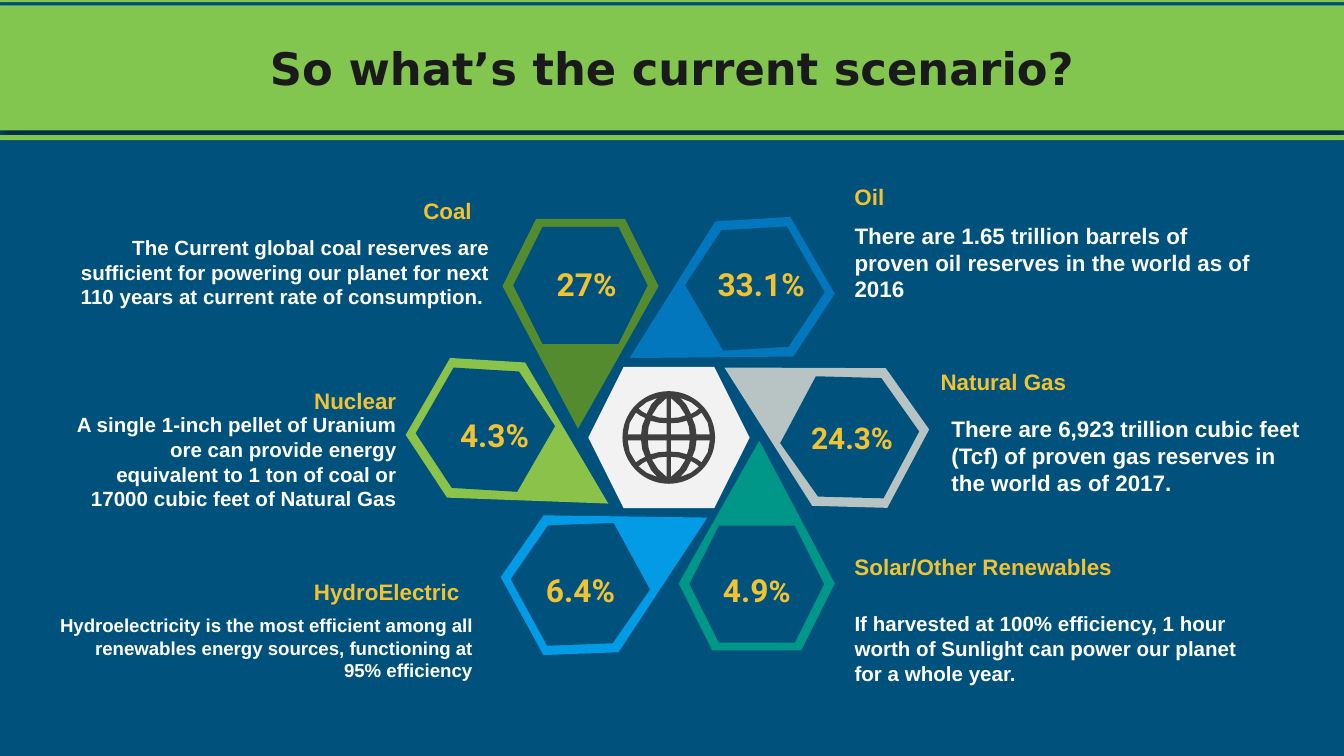
"""Build the energy scenario slide: six petals around a globe, with notes."""
from dataclasses import dataclass
from math import cos, pi, radians, sin

from lxml import etree
from pptx import Presentation
from pptx import util as u
from pptx.dml.color import RGBColor
from pptx.enum import shapes, text
from pptx.oxml.ns import qn

Point = tuple[float, float]
Box = tuple[float, float, float, float]
LEFT, CENTER, RIGHT = text.PP_ALIGN.LEFT, text.PP_ALIGN.CENTER, text.PP_ALIGN.RIGHT
SHAPE = shapes.MSO_SHAPE


@dataclass(frozen=True)
class Theme:
    back: str = "00517C"
    band: str = "82C650"
    ink: str = "1A1A1A"
    accent: str = "F1C232"
    white: str = "FFFFFF"
    off_white: str = "FAFAFA"
    hub: str = "F2F2F2"
    globe: str = "3F3F3F"
    title_font: str = "DejaVu Sans"
    share_font: str = "Roboto"
    body_font: str = "Arial"
    title_size: int = 24
    share_size: int = 17
    small_share: int = 16
    head_size: int = 12
    note_size: int = 11
    small_note: int = 10


T = Theme()


@dataclass(frozen=True)
class Label:
    box: Box
    runs: tuple[str, ...]
    size: int
    color: str = T.accent
    font: str = T.body_font
    last_size: int | None = None


@dataclass(frozen=True)
class Energy:
    center: Point
    angle: float
    color: str
    align: text.PP_ALIGN
    share: Label
    head: Label
    note: Label


def share(box: Box, *runs: str, size: int = T.share_size, last: int | None = None) -> Label:
    return Label(box, runs, size, font=T.share_font, last_size=last)


def head(x: float, y: float, name: str) -> Label:
    return Label((x, y, 236, 29), (name,), T.head_size)


def note(box: Box, words: str, size: int = T.note_size, color: str = T.white) -> Label:
    return Label(box, (words,), size, color)


ENERGIES = (
    Energy((311, 173.5), 180, "558B2F", RIGHT,
           share((275.8, 134.6, 77, 35.3), "27%"), head(23.8, 98.6, "Coal"),
           note((33.1, 118.8, 236.2, 54.7), "The Current global coal reserves are sufficient for "
                "powering our planet for next 110 years at current rate of consumption. ")),
    Energy((386.6, 164.9), 240, "0277BD", LEFT,
           share((365, 134.6, 85.7, 35.3), "33.1%"), head(450.7, 90.7, "Oil"),
           note((450.7, 111.6, 236.2, 58.3), "There are 1.65 trillion barrels of proven oil "
                "reserves in the world as of 2016", T.head_size, T.off_white)),
    Energy((437, 224.6), 298.1, "B8C4C4", LEFT,
           share((338.4, 217.4, 236.2, 33.8), "24.3%", size=T.small_share),
           head(496.8, 190.1, "Natural Gas"),
           note((502.6, 215.3, 200.9, 72.7), "There are 6,923 trillion cubic feet (Tcf) of "
                "proven gas reserves in the world as of 2017.", T.head_size)),
    Energy((405.4, 292.3), 0, "009688", LEFT,
           share((362.2, 298.8, 86.4, 35.3), "4.9", "%", last=T.small_share),
           head(450.7, 289.4, "Solar/Other Renewables"),
           note((450.7, 320.4, 236.2, 54.7), "If harvested at 100% efficiency, 1 hour worth of "
                "Sunlight can power our planet for a whole year.")),
    Energy((329, 303.1), 61.3, "039BE5", RIGHT,
           share((269.3, 298.8, 83.5, 35.3), "6.4%"), head(17.3, 302.4, "HydroElectric"),
           note((23.8, 321.8, 236.2, 51.1), "Hydroelectricity is the most efficient among all "
                "renewables energy sources, functioning at 95% efficiency", T.small_note)),
    Energy((277.9, 240.5), 120, "8BC34A", RIGHT,
           share((233.3, 215.3, 63.4, 35.3), "4.3%"), head(-16.6, 200.2, "Nuclear"),
           note((28.8, 213.8, 190.8, 67.7), "A single 1-inch pellet of Uranium ore can provide "
                "energy equivalent to 1 ton of coal or 17000 cubic feet of Natural Gas")),
)

PETAL = ((23.8, 56.2), (-23.8, 56.2), (-41.8, 20.2), (1.4, -56.2), (41.8, 20.2))
HEX_OFFSET = 20.6
HEX_SIZE = (72, 62.8)
GLOBE_CENTER = (358.3, 234.4)
GLOBE_RADIUS = 24.8
GLOBE_PANES = (
    ((11.9, 12.6), (9.4, 17.6), (6.1, 21.2), (11.9, 18.9), (16.2, 15.5), (14.2, 13.9)),
    ((1.1, 10.4), (1.1, 21.2), (5.8, 16.9), (9, 11.9), (5.4, 10.7)),
    ((1.1, 1.6), (1.1, 7.6), (5.4, 7.9), (9.7, 9), (10.8, 5.6), (11.2, 1.6)),
    ((14.8, 1.6), (14.2, 6.3), (12.6, 10.4), (15.3, 11.7), (17.6, 13.3), (20.9, 7.9), (22, 1.6)),
)


def rgb(color: str) -> RGBColor:
    return RGBColor.from_string(color)


def paint(sp, color: str) -> None:
    sp.fill.solid()
    sp.fill.fore_color.rgb = rgb(color)
    sp.line.fill.background()
    sp.shadow.inherit = False


def add_preset(parent, kind: SHAPE, box: Box, color: str, angle: float = 0):
    sp = parent.add_shape(kind, *map(u.Pt, box))
    sp.rotation = angle
    paint(sp, color)
    return sp


def add_outline(parent, contours: list[list[Point]], color: str):
    first, *rest = [[(u.Pt(x), u.Pt(y)) for x, y in c] for c in contours]
    builder = parent.build_freeform(*first[0], scale=1.0)
    builder.add_line_segments(first[1:], close=True)
    for contour in rest:
        builder.move_to(*contour[0])
        builder.add_line_segments(contour[1:], close=True)
    sp = builder.convert_to_shape()
    paint(sp, color)
    return sp


def shift(points, center: Point, sx: int = 1, sy: int = 1) -> list[Point]:
    return [(center[0] + sx * x, center[1] + sy * y) for x, y in points]


def add_petal(s, energy: Energy) -> None:
    group = s.shapes.add_group_shape().shapes
    add_outline(group, [shift(PETAL, energy.center)], energy.color).rotation = energy.angle
    turn, (w, h) = radians(energy.angle), HEX_SIZE
    x = energy.center[0] - HEX_OFFSET * sin(turn) - w / 2
    y = energy.center[1] + HEX_OFFSET * cos(turn) - h / 2
    add_preset(group, SHAPE.HEXAGON, (x, y, w, h), T.back, (energy.angle + 180) % 360)


def add_globe(s) -> None:
    rim = [(GLOBE_RADIUS * cos(i * pi / 36), GLOBE_RADIUS * sin(i * pi / 36)) for i in range(72)]
    panes = [shift(pane, GLOBE_CENTER, sx, sy)
             for sx in (-1, 1) for sy in (-1, 1) for pane in GLOBE_PANES]
    add_outline(s.shapes, [shift(rim, GLOBE_CENTER), *panes], T.globe)


def write(p, runs: tuple[str, ...], size: int, color: str, font: str, align) -> None:
    p.alignment = align
    for words in runs:
        p.add_run().text = words
    p.font.size, p.font.name, p.font.bold = u.Pt(size), font, True
    p.font.color.rgb = rgb(color)


def add_label(s, label: Label, align: text.PP_ALIGN) -> None:
    tf = s.shapes.add_textbox(*map(u.Pt, label.box)).text_frame
    tf.word_wrap = True
    tf.auto_size = text.MSO_AUTO_SIZE.SHAPE_TO_FIT_TEXT
    tf.margin_left = tf.margin_right = tf.margin_top = tf.margin_bottom = u.Pt(7.2)
    p = tf.paragraphs[0]
    write(p, label.runs, label.size, label.color, label.font, align)
    if label.last_size:
        p.runs[-1].font.size = u.Pt(label.last_size)


def add_title(s) -> None:
    group = s.shapes.add_group_shape().shapes
    sp = add_preset(group, SHAPE.RECTANGLE, (0, 2.9, 720, 67), T.band)
    effects = sp._element.spPr.find(qn("a:effectLst"))
    shadow = etree.SubElement(effects, qn("a:outerShdw"), blurRad=str(u.Pt(4.5)),
                              dist=str(u.Pt(1.5)), dir="5400000", algn="bl", rotWithShape="0")
    black = etree.SubElement(shadow, qn("a:srgbClr"), val="000000")
    etree.SubElement(black, qn("a:alpha"), val="50000")
    tf = sp.text_frame
    tf.word_wrap = True
    tf.vertical_anchor = text.MSO_ANCHOR.MIDDLE
    write(tf.paragraphs[0], ("So what’s the current scenario?",),
          T.title_size, T.ink, T.title_font, CENTER)
    for y in (-1.6, 72.4):
        add_preset(group, SHAPE.RECTANGLE, (0, y, 720, 2.7), T.band)


def main() -> None:
    prs = Presentation()
    prs.slide_width, prs.slide_height = u.Pt(720), u.Pt(405)
    s = prs.slides.add_slide(prs.slide_layouts[6])
    s.background.fill.solid()
    s.background.fill.fore_color.rgb = rgb(T.back)
    for energy in ENERGIES:
        add_petal(s, energy)
    add_preset(s.shapes, SHAPE.HEXAGON, (315.2, 196.6, 86.4, 75.6), T.hub)
    add_globe(s)
    add_title(s)
    for energy in ENERGIES:
        add_label(s, energy.share, CENTER)
        add_label(s, energy.head, energy.align)
        add_label(s, energy.note, energy.align)
    prs.save("out.pptx")


if __name__ == "__main__":
    main()
